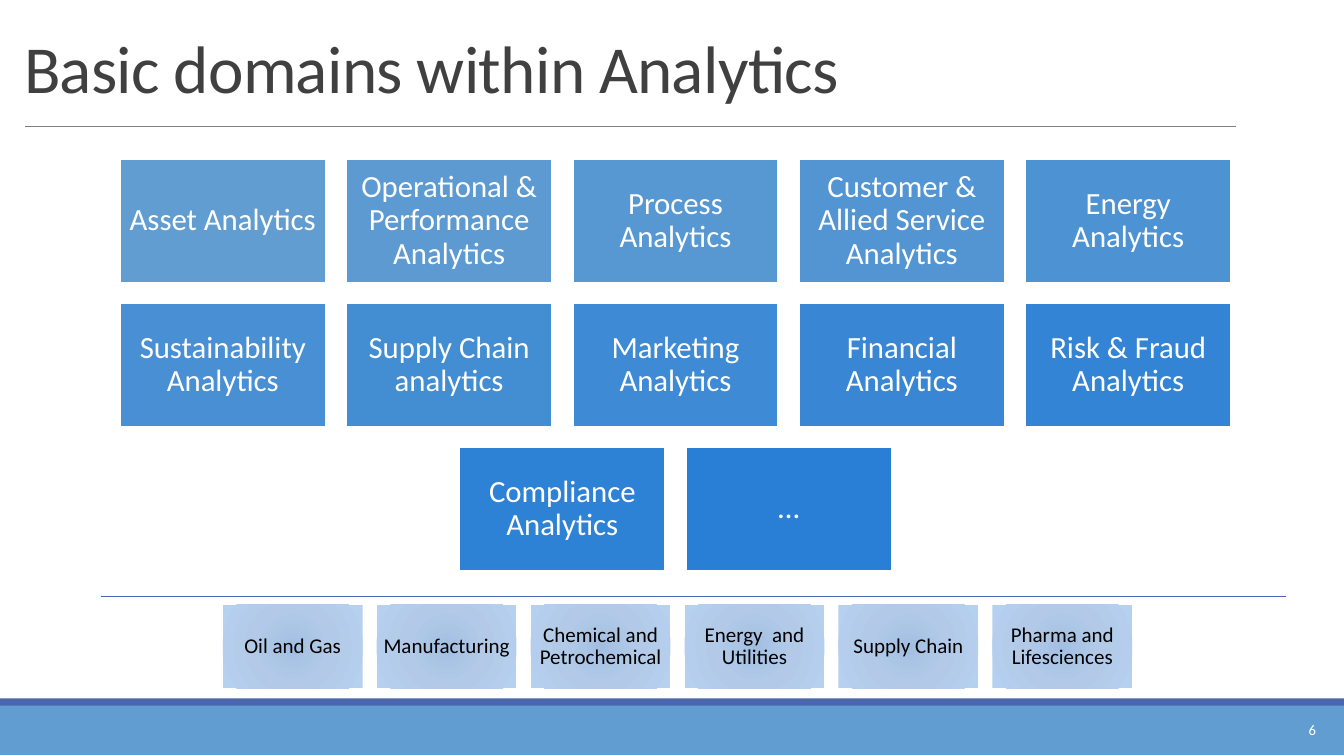
from dataclasses import dataclass

from lxml.etree import SubElement
from pptx import Presentation
from pptx.dml.color import RGBColor
from pptx.enum.shapes import MSO_CONNECTOR, MSO_SHAPE
from pptx.enum.text import MSO_ANCHOR as Anchor, PP_ALIGN as Align
from pptx.oxml import parse_xml
from pptx.oxml.ns import nsdecls, qn
from pptx.util import Inches, Pt


@dataclass(frozen=True)
class Theme:
    """Colours, font and type sizes of the slide."""
    font: str = "Calibri"
    title: str = "404040"
    rule: str = "808080"
    accent: str = "4A66AC"
    band: str = "629DD1"
    domain_end: str = "297FD5"
    white: str = "FFFFFF"
    black: str = "000000"
    glow: tuple = ((0, "A2BFE2"), (45, "B2CAE8"), (100, "B6D0EF"))
    title_size: float = 48
    domain_size: float = 22
    industry_size: float = 15
    number_size: float = 10.5


THEME = Theme()
DOMAINS = [
    "Asset Analytics", "Operational & Performance Analytics", "Process Analytics",
    "Customer & Allied Service Analytics", "Energy Analytics",
    "Sustainability Analytics", "Supply Chain analytics", "Marketing Analytics",
    "Financial Analytics", "Risk & Fraud Analytics", "Compliance Analytics", "…",
]
INDUSTRIES = [
    "Oil and Gas", "Manufacturing", "Chemical and Petrochemical",
    "Energy  and Utilities", "Supply Chain", "Pharma and Lifesciences",
]


def blend(start, end, share):
    """Return the colour that lies the given share of the way from start to end."""
    pairs = zip(RGBColor.from_string(start), RGBColor.from_string(end))
    return str(RGBColor(*(round(a + (b - a) * share) for a, b in pairs)))


def write(shape, text, size, color, align=Align.LEFT, anchor=Anchor.MIDDLE,
          spacing=1.0, inset=None):
    """Fill a shape with one formatted paragraph and return the paragraph."""
    frame = shape.text_frame
    frame.word_wrap = True
    frame.vertical_anchor = anchor
    if inset is not None:
        frame.margin_left = frame.margin_right = Inches(inset)
        frame.margin_top = frame.margin_bottom = Inches(inset)
    paragraph = frame.paragraphs[0]
    paragraph.text = text
    paragraph.alignment = align
    paragraph.line_spacing = spacing
    paragraph.font.name = THEME.font
    paragraph.font.size = Pt(size)
    paragraph.font.color.rgb = RGBColor.from_string(color)
    return paragraph


def add_box(slide, left, top, width, height, fill=None, outline=None):
    """Add a flat rectangle with an optional fill and outline."""
    shape = slide.shapes.add_shape(
        MSO_SHAPE.RECTANGLE, Inches(left), Inches(top), Inches(width), Inches(height))
    shape.shadow.inherit = False
    if fill:
        shape.fill.solid()
        shape.fill.fore_color.rgb = RGBColor.from_string(fill)
    if outline:
        shape.line.color.rgb = RGBColor.from_string(outline)
        shape.line.width = Pt(1.25)
    else:
        shape.line.fill.background()
    return shape


def add_rule(slide, left, top, width, color, weight):
    """Add a flat horizontal line."""
    line = slide.shapes.add_connector(
        MSO_CONNECTOR.STRAIGHT, Inches(left), Inches(top), Inches(left + width), Inches(top))
    line.line.color.rgb = RGBColor.from_string(color)
    line.line.width = Pt(weight)
    SubElement(line._element.spPr, qn("a:effectLst"))


def add_glow(shape):
    """Give a shape the circular gradient of the theme."""
    stops = "".join(
        f'<a:gs pos="{position * 1000}"><a:srgbClr val="{color}"/></a:gs>'
        for position, color in THEME.glow)
    gradient = parse_xml(
        f'<a:gradFill {nsdecls("a")} rotWithShape="1"><a:gsLst>{stops}</a:gsLst>'
        '<a:path path="circle"><a:fillToRect l="100000" t="100000" r="100000" b="100000"/>'
        '</a:path></a:gradFill>')
    shape._element.spPr.find(qn("a:prstGeom")).addnext(gradient)


def add_header(slide, left, top, width, height, text):
    """Place the title and the rule under it."""
    box = slide.shapes.add_textbox(Inches(left), Inches(top), Inches(width), Inches(height))
    paragraph = write(box, text, THEME.title_size, THEME.title,
                      anchor=Anchor.BOTTOM, spacing=0.85)
    paragraph.runs[0].font._element.set("spc", "-50")
    add_rule(slide, left + 0.11, top + height + 0.14, width - 0.02, THEME.rule, 0.5)


def add_domains(slide, left, top, width, height, columns=5, rows=3, gap=0.205):
    """Place the domain tiles in centred rows that deepen in colour."""
    tile_width = (width - gap * (columns - 1)) / columns
    tile_height = (height - gap * (rows - 1)) / rows
    for index, name in enumerate(DOMAINS):
        row, column = divmod(index, columns)
        count = min(columns, len(DOMAINS) - row * columns)
        indent = (columns - count) * (tile_width + gap) / 2
        fill = blend(THEME.band, THEME.domain_end, index / (len(DOMAINS) - 1))
        tile = add_box(slide, left + indent + column * (tile_width + gap),
                       top + row * (tile_height + gap), tile_width, tile_height,
                       fill, THEME.white)
        write(tile, name, THEME.domain_size, THEME.white, Align.CENTER,
              spacing=0.9, inset=0.08)


def add_industries(slide, left, top, width, height, gap=0.14):
    """Place the industry tiles in one row under a rule."""
    add_rule(slide, left - 1.21, top - 0.08, 11.75, THEME.accent, 1)
    tile_width = (width + gap) / len(INDUSTRIES) - gap
    for index, name in enumerate(INDUSTRIES):
        tile = add_box(slide, left + index * (tile_width + gap), top, tile_width, height)
        add_glow(tile)
        write(tile, name, THEME.industry_size, THEME.black, Align.CENTER,
              spacing=0.9, inset=0.06)


def add_footer(slide, left, top, width, height, number):
    """Place the footer band, its edge and the slide number."""
    edge = 0.07
    add_box(slide, left, top + edge - 0.01, width, height - edge, THEME.band)
    add_box(slide, left, top, width, edge, THEME.accent)
    box = slide.shapes.add_textbox(Inches(left + width - 1.61), Inches(top + 0.11),
                                   Inches(1.43), Inches(0.4))
    write(box, number, THEME.number_size, THEME.white, Align.RIGHT)


def main():
    """Build the slide and save it."""
    presentation = Presentation()
    presentation.slide_width = Inches(13.33)
    presentation.slide_height = Inches(7.5)
    slide = presentation.slides.add_slide(presentation.slide_layouts[6])
    add_footer(slide, 0, 6.93, 13.33, 0.57, "6")
    add_header(slide, 0.14, 0.17, 12.03, 0.94, "Basic domains within Analytics")
    add_domains(slide, 1.19, 1.58, 11.02, 4.08)
    add_industries(slide, 2.21, 6, 9.02, 0.83)
    presentation.save("out.pptx")


if __name__ == "__main__":
    main()
